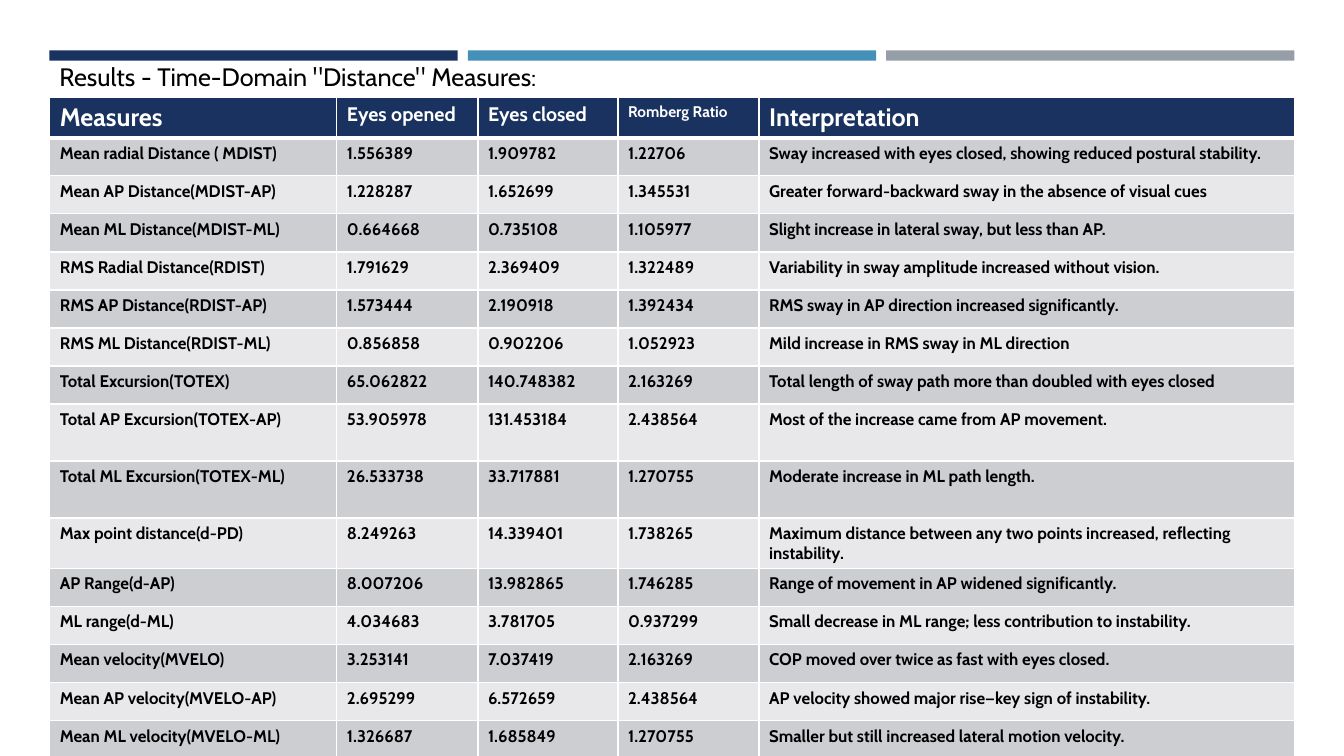
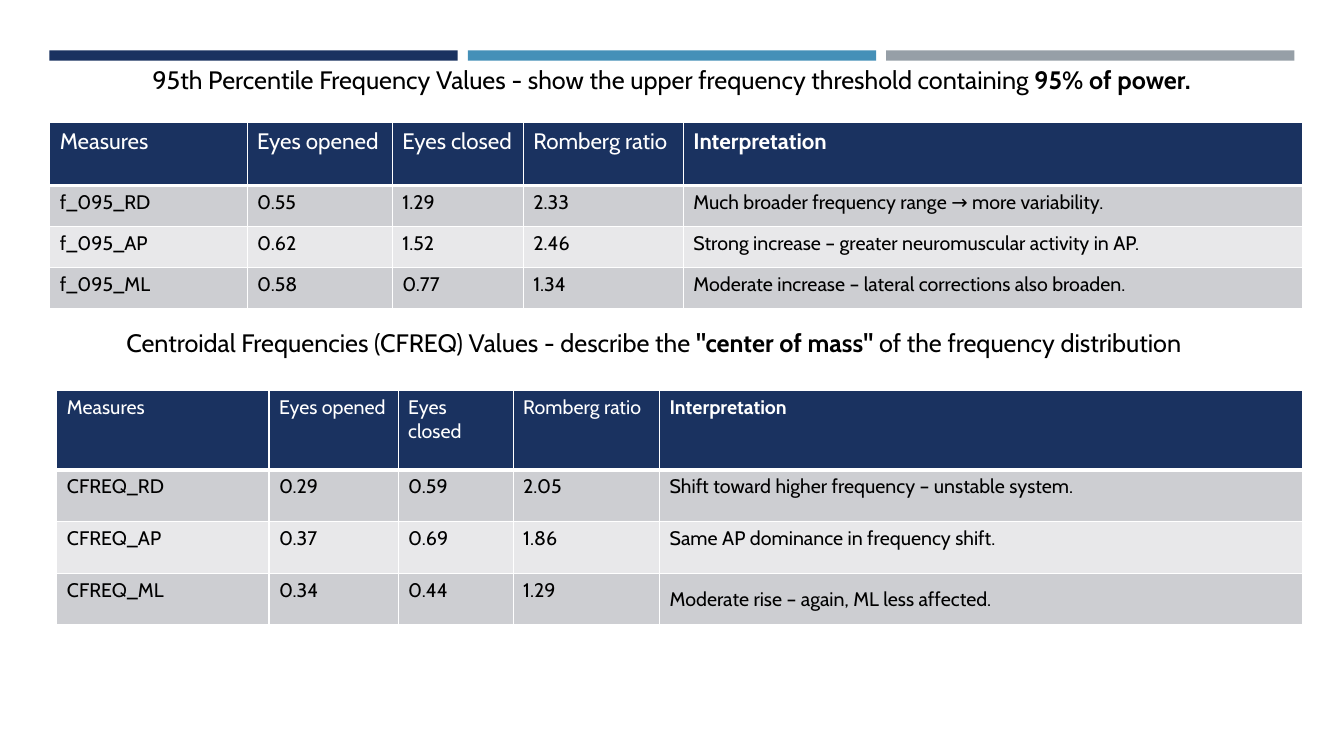
from dataclasses import dataclass
from typing import NamedTuple

from lxml import etree
from pptx import Presentation
from pptx import util as u
from pptx.dml import color
from pptx.enum import shapes, text
from pptx.oxml import ns


@dataclass(frozen=True)
class Theme:
    font: str = "Cabin"
    navy: str = "1A3260"
    blue: str = "4590B8"
    gray: str = "969FA7"
    odd_row: str = "CDCED2"
    even_row: str = "E8E8EA"
    white: str = "FFFFFF"
    black: str = "000000"
    title_size: float = 18
    thin_rule: float = 1
    header_rule: float = 3


class Box(NamedTuple):
    """Percentages of the slide's width and height."""
    left: float
    top: float
    width: float
    height: float


class Span(NamedTuple):
    text: str
    bold: bool = False


@dataclass(frozen=True)
class Heading:
    box: Box
    spans: tuple[Span, ...]
    align: text.PP_ALIGN = text.PP_ALIGN.CENTER


@dataclass(frozen=True)
class DataTable:
    """Column widths are percentages of the table; row units multiply the row height."""
    left: float
    top: float
    width: float
    row_height: float
    columns: tuple[float, ...]
    row_units: tuple[float, ...]
    header: tuple[str, ...]
    header_sizes: tuple[float, ...]
    header_bold: tuple[bool, ...]
    body_size: float
    body_bold: bool
    body: tuple[tuple[str, ...], ...]
    middle_cells: tuple[tuple[int, int], ...] = ()


THEME = Theme()
SLIDE_WIDTH = u.Inches(13.33)
SLIDE_HEIGHT = u.Inches(7.5)
BAND_COLORS = (THEME.navy, THEME.blue, THEME.gray)
BAND = Box(3.68, 6.67, 30.38, 1.36)
BAND_STEP = 31.13
LAST_COLUMN_BOLD = (False, False, False, False, True)
FREQUENCY_HEADER = ("Measures", "Eyes opened", "Eyes closed", "Romberg ratio", "Interpretation")

DISTANCE_HEADING = Heading(
    Box(3.68, 7.47, 92.65, 5.33),
    (Span('Results - Time-Domain "Distance" Measures:'),),
    text.PP_ALIGN.LEFT,
)
DISTANCE_TABLE = DataTable(
    left=3.7, top=12.9, width=92.65, row_height=5.03,
    columns=(23.06, 11.33, 11.25, 11.33, 43.03),
    row_units=(1.02,) + (1,) * 7 + (1.5, 1.5, 1.33) + (1,) * 5,
    header=("Measures", "Eyes opened", "Eyes closed", "Romberg Ratio", "Interpretation"),
    header_sizes=(18, 14, 14, 11, 18),
    header_bold=(True,) * 5,
    body_size=12,
    body_bold=True,
    body=(
        ("Mean radial Distance ( MDIST)", "1.556389", "1.909782", "1.22706",
         "Sway increased with eyes closed, showing reduced postural stability."),
        ("Mean AP Distance(MDIST-AP)", "1.228287", "1.652699", "1.345531",
         "Greater forward-backward sway in the absence of visual cues"),
        ("Mean ML Distance(MDIST-ML)", "0.664668", "0.735108", "1.105977",
         "Slight increase in lateral sway, but less than AP."),
        ("RMS Radial Distance(RDIST)", "1.791629", "2.369409", "1.322489",
         "Variability in sway amplitude increased without vision."),
        ("RMS AP Distance(RDIST-AP)", "1.573444", "2.190918", "1.392434",
         "RMS sway in AP direction increased significantly."),
        ("RMS ML Distance(RDIST-ML)", "0.856858", "0.902206", "1.052923",
         "Mild increase in RMS sway in ML direction"),
        ("Total Excursion(TOTEX)", "65.062822", "140.748382", "2.163269",
         "Total length of sway path more than doubled with eyes closed"),
        ("Total AP Excursion(TOTEX-AP)", "53.905978", "131.453184", "2.438564",
         "Most of the increase came from AP movement."),
        ("Total ML Excursion(TOTEX-ML)", "26.533738", "33.717881", "1.270755",
         "Moderate increase in ML path length."),
        ("Max point distance(d-PD)", "8.249263", "14.339401", "1.738265",
         "Maximum distance between any two points increased, reflecting instability."),
        ("AP Range(d-AP)", "8.007206", "13.982865", "1.746285",
         "Range of movement in AP widened significantly."),
        ("ML range(d-ML)", "4.034683", "3.781705", "0.937299",
         "Small decrease in ML range; less contribution to instability."),
        ("Mean velocity(MVELO)", "3.253141", "7.037419", "2.163269",
         "COP moved over twice as fast with eyes closed."),
        ("Mean AP velocity(MVELO-AP)", "2.695299", "6.572659", "2.438564",
         "AP velocity showed major rise—key sign of instability."),
        ("Mean ML velocity(MVELO-ML)", "1.326687", "1.685849", "1.270755",
         "Smaller but still increased lateral motion velocity."),
    ),
)

PERCENTILE_HEADING = Heading(
    Box(3.68, 7.87, 92.57, 5.33),
    (Span("95th Percentile Frequency Values - show the upper frequency threshold containing "),
     Span("95% of power.", True)),
)
PERCENTILE_TABLE = DataTable(
    left=3.7, top=16.2, width=93.25, row_height=5.45,
    columns=(15.75, 11.58, 10.45, 12.78, 49.44),
    row_units=(1.53, 1, 1, 1),
    header=FREQUENCY_HEADER,
    header_sizes=(16,) * 5,
    header_bold=LAST_COLUMN_BOLD,
    body_size=14,
    body_bold=False,
    body=(
        ("f_095_RD", "0.55", "1.29", "2.33", "Much broader frequency range → more variability."),
        ("f_095_AP", "0.62", "1.52", "2.46",
         "Strong increase – greater neuromuscular activity in AP."),
        ("f_095_ML", "0.58", "0.77", "1.34",
         "Moderate increase – lateral corrections also broaden."),
    ),
)

CENTROID_HEADING = Heading(
    Box(2.25, 42.67, 92.8, 5.33),
    (Span("Centroidal Frequencies (CFREQ) Values - describe the "),
     Span('"center of mass"', True),
     Span(" of the frequency distribution")),
)
CENTROID_TABLE = DataTable(
    left=4.23, top=51.67, width=92.72, row_height=6.85,
    columns=(17.02, 10.37, 9.23, 11.75, 51.63),
    row_units=(1.53, 1, 1, 1),
    header=FREQUENCY_HEADER,
    header_sizes=(14,) * 5,
    header_bold=LAST_COLUMN_BOLD,
    body_size=14,
    body_bold=False,
    body=(
        ("CFREQ_RD", "0.29", "0.59", "2.05", "Shift toward higher frequency – unstable system."),
        ("CFREQ_AP", "0.37", "0.69", "1.86", "Same AP dominance in frequency shift."),
        ("CFREQ_ML", "0.34", "0.44", "1.29", "Moderate rise – again, ML less affected."),
    ),
    middle_cells=((3, 4),),
)

SLIDES = (
    ((DISTANCE_HEADING,), (DISTANCE_TABLE,)),
    ((PERCENTILE_HEADING, CENTROID_HEADING), (PERCENTILE_TABLE, CENTROID_TABLE)),
)


def across(percent: float) -> int:
    return round(SLIDE_WIDTH * percent / 100)


def down(percent: float) -> int:
    return round(SLIDE_HEIGHT * percent / 100)


def place(box: Box) -> tuple[int, int, int, int]:
    return across(box.left), down(box.top), across(box.width), down(box.height)


def style_run(run, size: float, bold: bool, rgb: str) -> None:
    run.font.name = THEME.font
    run.font.size = u.Pt(size)
    run.font.bold = bold
    run.font.color.rgb = color.RGBColor.from_string(rgb)


def draw_bands(slide) -> None:
    for index, rgb in enumerate(BAND_COLORS):
        box = BAND._replace(left=BAND.left + index * BAND_STEP)
        band = slide.shapes.add_shape(shapes.MSO_SHAPE.RECTANGLE, *place(box))
        band.shadow.inherit = False
        band.fill.solid()
        band.fill.fore_color.rgb = color.RGBColor.from_string(rgb)
        band.line.fill.background()


def draw_heading(slide, heading: Heading) -> None:
    frame = slide.shapes.add_textbox(*place(heading.box)).text_frame
    frame.word_wrap = True
    paragraph = frame.paragraphs[0]
    paragraph.alignment = heading.align
    for span in heading.spans:
        run = paragraph.add_run()
        run.text = span.text
        style_run(run, THEME.title_size, span.bold, THEME.black)


def set_borders(cell, row: int) -> None:
    top = THEME.header_rule if row == 1 else THEME.thin_rule
    bottom = THEME.header_rule if row == 0 else THEME.thin_rule
    widths = {"lnL": THEME.thin_rule, "lnR": THEME.thin_rule, "lnT": top, "lnB": bottom}
    properties = cell._tc.get_or_add_tcPr()
    for tag, width in widths.items():
        line = etree.SubElement(properties, ns.qn(f"a:{tag}"), w=str(u.Pt(width)))
        fill = etree.SubElement(line, ns.qn("a:solidFill"))
        etree.SubElement(fill, ns.qn("a:srgbClr"), val=THEME.white)


def fill_cell(cell, row: int, value: str, size: float, bold: bool) -> None:
    set_borders(cell, row)
    body_fill = THEME.odd_row if row % 2 else THEME.even_row
    cell.fill.solid()
    cell.fill.fore_color.rgb = color.RGBColor.from_string(body_fill if row else THEME.navy)
    cell.text_frame.text = value
    style_run(cell.text_frame.paragraphs[0].runs[0], size, bold,
              THEME.black if row else THEME.white)


def draw_table(slide, data: DataTable) -> None:
    rows = (data.header, *data.body)
    box = Box(data.left, data.top, data.width, data.row_height * sum(data.row_units))
    table = slide.shapes.add_table(len(rows), len(data.columns), *place(box)).table
    for column, share in zip(table.columns, data.columns):
        column.width = across(data.width * share / 100)
    for row, units in zip(table.rows, data.row_units):
        row.height = down(data.row_height * units)
    for row, values in enumerate(rows):
        for column, value in enumerate(values):
            size = data.body_size if row else data.header_sizes[column]
            bold = data.body_bold if row else data.header_bold[column]
            fill_cell(table.cell(row, column), row, value, size, bold)
    for row, column in data.middle_cells:
        table.cell(row, column).vertical_anchor = text.MSO_ANCHOR.MIDDLE


def main() -> None:
    presentation = Presentation()
    presentation.slide_width = SLIDE_WIDTH
    presentation.slide_height = SLIDE_HEIGHT
    for headings, tables in SLIDES:
        slide = presentation.slides.add_slide(presentation.slide_layouts[6])
        draw_bands(slide)
        for heading in headings:
            draw_heading(slide, heading)
        for data in tables:
            draw_table(slide, data)
    presentation.save("out.pptx")


if __name__ == "__main__":
    main()
